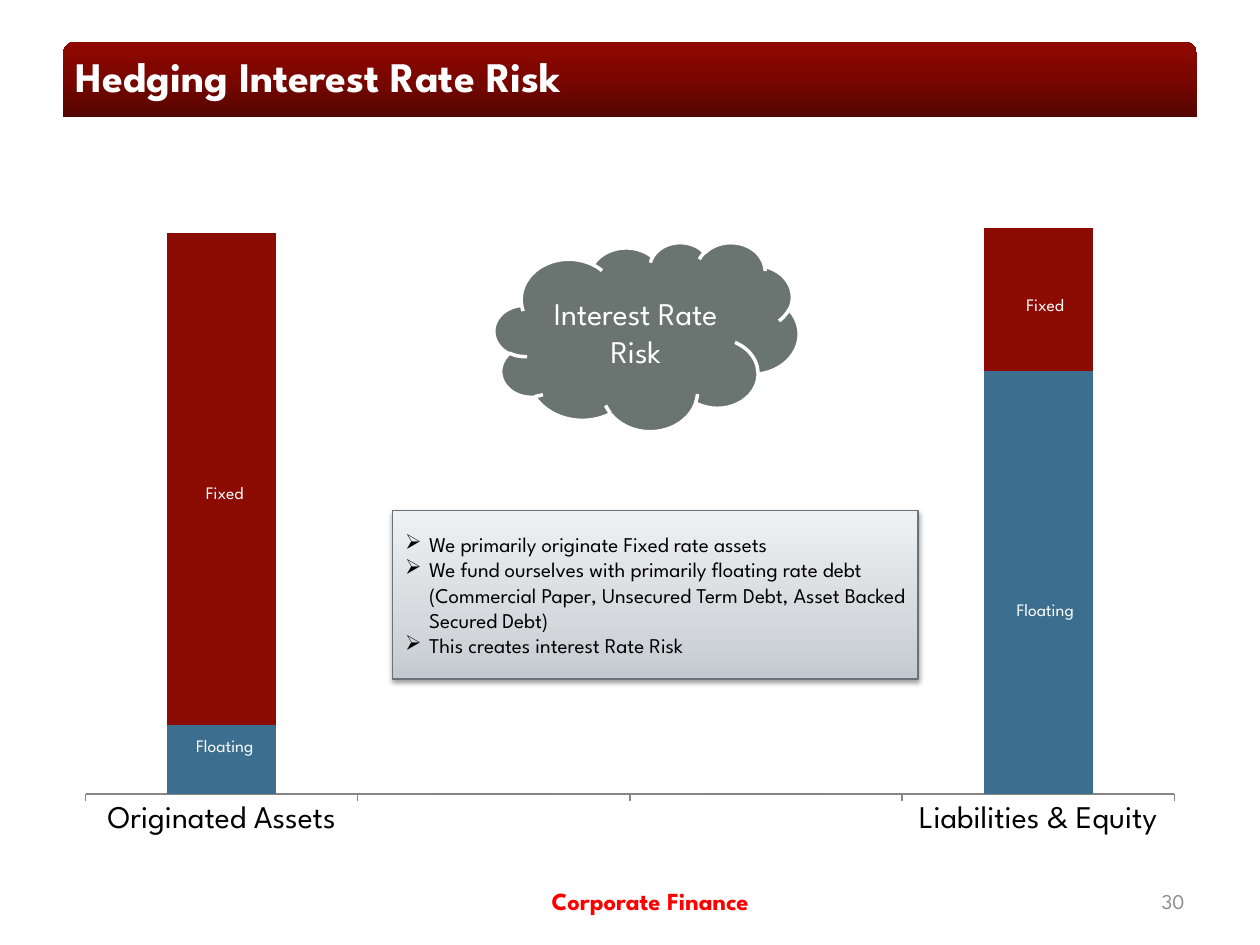
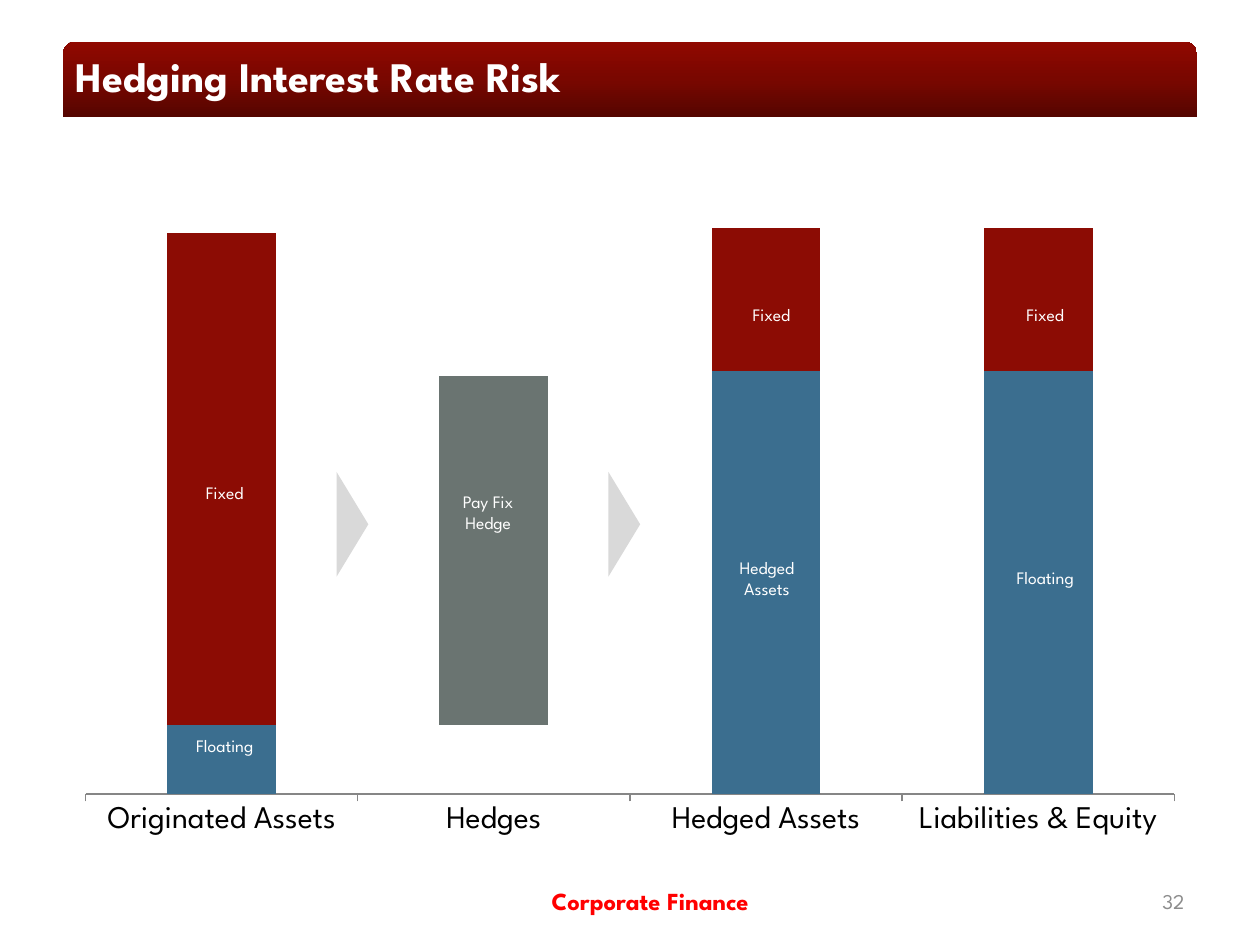
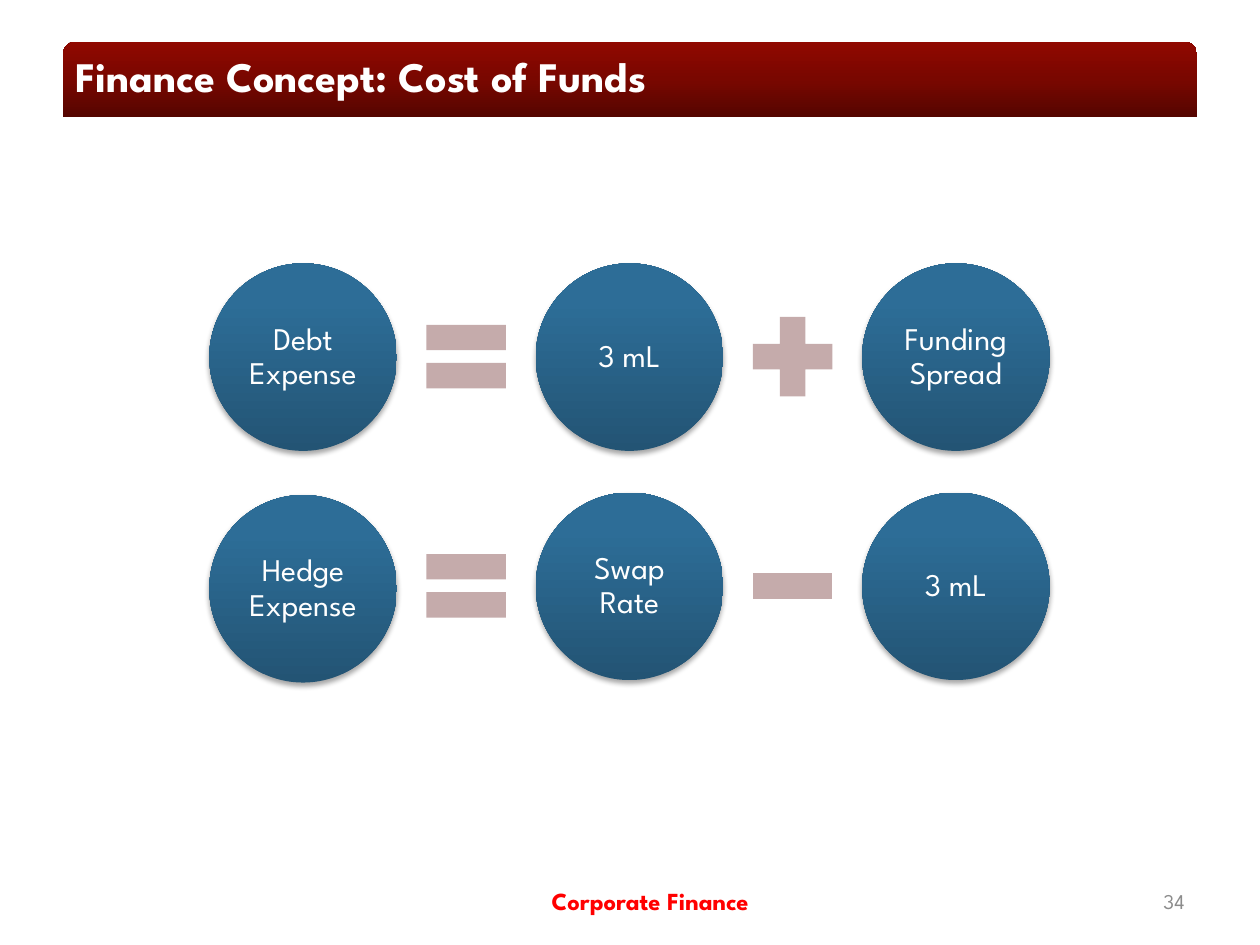
from lxml import etree
from pptx import Presentation
from pptx.chart.data import CategoryChartData
from pptx.dml.color import RGBColor
from pptx.enum.chart import XL_CHART_TYPE, XL_TICK_MARK
from pptx.enum.shapes import MSO_SHAPE
from pptx.enum.text import MSO_ANCHOR, MSO_AUTO_SIZE, PP_ALIGN
from pptx.oxml import parse_xml
from pptx.oxml.ns import nsdecls, qn
from pptx.util import Cm, Pt

STACKED = XL_CHART_TYPE.COLUMN_STACKED
NO_TICK, TICK_OUT = XL_TICK_MARK.NONE, XL_TICK_MARK.OUTSIDE
BAND, CLOUD, RECT = MSO_SHAPE.ROUND_2_SAME_RECTANGLE, MSO_SHAPE.CLOUD, MSO_SHAPE.RECTANGLE
OVAL, TRIANGLE = MSO_SHAPE.OVAL, MSO_SHAPE.ISOSCELES_TRIANGLE
PLUS, MINUS, EQUAL = MSO_SHAPE.MATH_PLUS, MSO_SHAPE.MATH_MINUS, MSO_SHAPE.MATH_EQUAL
MIDDLE, NO_FIT = MSO_ANCHOR.MIDDLE, MSO_AUTO_SIZE.NONE
LEFT, CENTER, RIGHT = PP_ALIGN.LEFT, PP_ALIGN.CENTER, PP_ALIGN.RIGHT

FONT = "League Spartan"
COLORS = {
    "white": "FFFFFF", "black": "000000", "footer": "FF0000", "number": "8C8C8C",
    "fixed": "8C0C04", "float": "3B6E8F", "hedge": "6A7471", "axis": "868686",
    "slate": "6A747B", "green": "0E261B", "sand": "B2A882",
    "edge": "677279", "arrow": "D9D9D9", "sign": "C5ABAB",
}
# Gradient stops run from the bottom edge to the top edge.
BAND_STOPS = [(0, "550500"), (50, "790700"), (100, "900800")]
PANEL_STOPS = [(0, "C3CACF"), (35, "D5D9DD"), (100, "EFF1F2")]
BALL_STOPS = [(0, "235474"), (80, "2D6D97"), (100, "2B6E9A")]
SERIES_COLORS = ["fixed", "float", "slate", "green", "sand", "white"]

LABEL_W, LABEL_H = 1.9, 0.84
BALL, PITCH = 3.78, 6.58
SIGN, SIGN_DX, SIGN_DY = 2.18, 4.09, 0.79


def rgb(name):
    return RGBColor.from_string(COLORS[name])


def place(box):
    return [Cm(value) for value in box]


def write(shape, text, size, color, align=CENTER, bold=False):
    frame = shape.text_frame
    frame.text = text
    frame.word_wrap = True
    frame.auto_size = NO_FIT
    frame.vertical_anchor = MIDDLE
    for para in frame.paragraphs:
        para.alignment = align
        for run in para.runs:
            font = run.font
            font.name, font.size, font.bold = FONT, Pt(size), bold
            font.color.rgb = rgb(color)


def add_text(slide, box, text, size, color, align=CENTER, bold=False):
    write(slide.shapes.add_textbox(*place(box)), text, size, color, align, bold)


def add_form(slide, kind, box, fill=None):
    """Add a preset shape without line or shadow."""
    shape = slide.shapes.add_shape(kind, *place(box))
    shape.shadow.inherit = False
    shape.line.fill.background()
    if fill:
        shape.fill.solid()
        shape.fill.fore_color.rgb = rgb(fill)
    return shape


def shade(shape, stops):
    """Fill with a gradient that rises from bottom to top."""
    shape.fill.gradient()
    shape.fill.gradient_angle = 90
    holder = shape._element.spPr.find(".//" + qn("a:gsLst"))
    for stop in list(holder):
        holder.remove(stop)
    for spot, color in stops:
        stop = etree.SubElement(holder, qn("a:gs"), pos=str(spot * 1000))
        etree.SubElement(stop, qn("a:srgbClr"), val=color)


def drop(shape, alpha, dist):
    """Cast a soft shadow downwards."""
    effects = shape._element.spPr.find(qn("a:effectLst"))
    shadow = etree.SubElement(
        effects, qn("a:outerShdw"), blurRad=str(Pt(3.1)), dist=str(Pt(dist)),
        dir="5400000", rotWithShape="0")
    color = etree.SubElement(shadow, qn("a:srgbClr"), val=COLORS["black"])
    etree.SubElement(color, qn("a:alpha"), val=str(alpha * 1000))


def add_slide(deck, title, number):
    slide = deck.slides.add_slide(deck.slide_layouts[5])
    band = add_form(slide, BAND, (1.27, 0.84, 22.86, 1.52))
    shade(band, BAND_STOPS)
    slide.shapes._spTree.insert(2, band._element)
    head = slide.shapes.title
    head.left, head.top, head.width, head.height = place((1.27, 0.76, 22.86, 1.52))
    write(head, title, 24, "white", LEFT, True)
    add_text(slide, (6.76, 17.65, 12.7, 1.02), "Corporate Finance", 14, "footer", bold=True)
    add_text(slide, (18.21, 17.65, 5.92, 1.02), str(number), 12, "number", RIGHT)
    return slide


def set_plot(chart):
    """Fix the inner plot area inside the chart frame."""
    area = chart._chartSpace.chart.plotArea
    old = area.find(qn("c:layout"))
    if old is not None:
        area.remove(old)
    area.insert(0, parse_xml(
        f'<c:layout {nsdecls("c")}><c:manualLayout><c:layoutTarget val="inner"/>'
        '<c:xMode val="edge"/><c:yMode val="edge"/><c:x val="0.02"/><c:y val="0.08"/>'
        '<c:w val="0.96"/><c:h val="0.84"/></c:manualLayout></c:layout>'))


def add_bars(slide, names, rows, points):
    """Stack the rows; points maps (row, column) to a colour, or None for no fill."""
    data = CategoryChartData()
    data.categories = names
    for index, row in enumerate(rows, 1):
        data.add_series(f"Series {index}", row)
    chart = slide.shapes.add_chart(STACKED, *place((1.27, 2.97, 22.86, 14.17)), data).chart
    chart.has_legend = chart.has_title = False
    chart.font.name, chart.font.size = FONT, Pt(18)
    chart.font.color.rgb = rgb("black")
    set_plot(chart)
    plot = chart.plots[0]
    plot.gap_width, plot.overlap, plot.vary_by_categories = 150, 100, False
    for series, color in zip(plot.series, SERIES_COLORS):
        series.format.fill.solid()
        series.format.fill.fore_color.rgb = rgb(color)
    for (row, col), color in points.items():
        fill = plot.series[row].points[col].format.fill
        if color:
            fill.solid()
            fill.fore_color.rgb = rgb(color)
        else:
            fill.background()
    scale = chart.value_axis
    scale.minimum_scale, scale.maximum_scale = 0, 120
    scale.has_major_gridlines = scale.visible = False
    base = chart.category_axis
    base.major_tick_mark, base.minor_tick_mark = TICK_OUT, NO_TICK
    base.format.line.color.rgb = rgb("axis")


def add_labels(slide, labels):
    for left, top, text in labels:
        add_text(slide, (left, top, LABEL_W, LABEL_H), text, 10, "white")


def add_cloud(slide, text):
    cloud = add_form(slide, CLOUD, (9.96, 4.88, 6.15, 3.81), "hedge")
    cloud.line.color.rgb = rgb("white")
    cloud.line.width = Pt(2)
    write(cloud, text, 18, "white")


def add_panel(slide, lines):
    panel = add_form(slide, RECT, (7.92, 10.29, 10.59, 3.4))
    shade(panel, PANEL_STOPS)
    panel.line.color.rgb = rgb("edge")
    panel.line.width = Pt(0.75)
    drop(panel, 38, 1.6)
    write(panel, "\n".join(lines), 12, "black", LEFT)
    for para in panel.text_frame.paragraphs:
        props = para._p.get_or_add_pPr()
        props.set("marL", str(Cm(0.48)))
        props.set("indent", str(-Cm(0.48)))
        etree.SubElement(props, qn("a:buChar"), char="➢")


def add_ball(slide, left, top, text):
    ball = add_form(slide, OVAL, (left, top, BALL, BALL))
    shade(ball, BALL_STOPS)
    drop(ball, 35, 1.8)
    write(ball, text, 18, "white")
    frame = ball.text_frame
    frame.margin_left = frame.margin_right = Cm(0.05)
    frame.margin_top = frame.margin_bottom = Cm(0.05)
    frame.paragraphs[0].line_spacing = 0.9


def add_sum(slide, top, words, signs, shift=0):
    """Lay out a row of balls with signs between; shift lowers the first ball."""
    for index, word in enumerate(words):
        left = 4.22 + index * PITCH
        add_ball(slide, left, top if index else top + shift, word)
        if index < len(signs):
            add_form(slide, signs[index],
                     (left + SIGN_DX, top + SIGN_DY, SIGN, SIGN), "sign")


def main():
    deck = Presentation()
    deck.slide_width, deck.slide_height = Cm(25.4), Cm(19.05)
    none = [0, 0, 0, 0]
    debt = [[0, 0, 0, 86], [0, 0, 0, 29]]
    shared = {(0, 0): "float", (1, 0): "fixed", (4, 3): "float", (5, 3): "fixed"}
    assets = [(3.58, 9.5, "Fixed"), (3.58, 14.6, "Floating")]

    risk = add_slide(deck, "Hedging Interest Rate Risk", 30)
    add_bars(risk, ["Originated Assets", "", "", "Liabilities & Equity"],
             [[14, 0, 0, 0], [100, 0, 0, 0], none, none] + debt, shared)
    add_labels(risk, assets + [(20.12, 5.72, "Fixed"), (20.12, 11.86, "Floating")])
    add_cloud(risk, "Interest Rate Risk")
    add_panel(risk, [
        "We primarily originate Fixed rate assets",
        "We fund ourselves with primarily floating rate debt "
        "(Commercial Paper, Unsecured Term Debt, Asset Backed Secured Debt)",
        "This creates interest Rate Risk"])

    hedge = add_slide(deck, "Hedging Interest Rate Risk", 32)
    add_bars(hedge, ["Originated Assets", "Hedges", "Hedged Assets", "Liabilities & Equity"],
             [[14, 14, 0, 0], [100, 71, 86, 0], none, [0, 0, 29, 0]] + debt,
             {**shared, (0, 1): None, (1, 1): "hedge", (1, 2): "float", (3, 2): "fixed"})
    add_labels(hedge, assets + [
        (8.89, 9.91, "Pay Fix Hedge"),
        (14.6, 5.92, "Fixed"), (14.51, 11.23, "Hedged Assets"),
        (20.12, 5.92, "Fixed"), (20.12, 11.23, "Floating")])
    for left in (6.05, 11.53):
        add_form(hedge, TRIANGLE, (left, 10.25, 2.11, 0.64), "arrow").rotation = 90

    cost = add_slide(deck, "Finance Concept: Cost of Funds", 34)
    add_sum(cost, 5.31, ["Debt Expense", "3 mL", "Funding Spread"], [EQUAL, PLUS])
    add_sum(cost, 9.93, ["Hedge Expense", "Swap Rate", "3 mL"], [EQUAL, MINUS], 0.05)
    deck.save("out.pptx")


if __name__ == "__main__":
    main()
